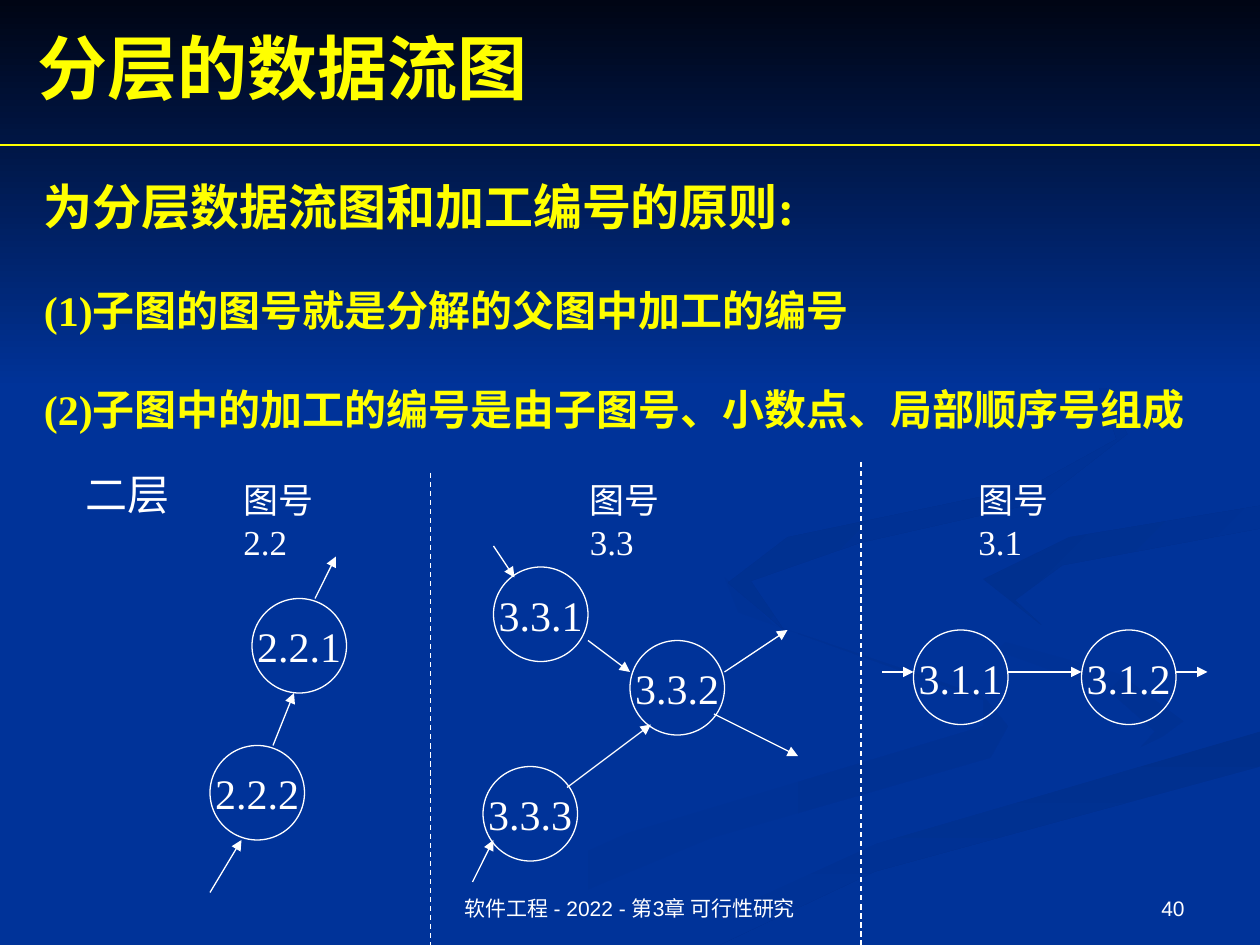
from lxml import etree
from pptx import Presentation
from pptx.dml.color import RGBColor
from pptx.enum.dml import MSO_LINE
from pptx.enum.shapes import MSO_CONNECTOR, MSO_SHAPE
from pptx.enum.text import MSO_ANCHOR, PP_ALIGN
from pptx.oxml.ns import qn
from pptx.util import Pt

LEFT, MID, RIGHT = PP_ALIGN.LEFT, PP_ALIGN.CENTER, PP_ALIGN.RIGHT
TOP, CENTER, BOTTOM = MSO_ANCHOR.TOP, MSO_ANCHOR.MIDDLE, MSO_ANCHOR.BOTTOM
OVAL, RECT = MSO_SHAPE.OVAL, MSO_SHAPE.RECTANGLE
STRAIGHT, DASH = MSO_CONNECTOR.STRAIGHT, MSO_LINE.DASH

WIDE, HIGH = 720, 540
WHITE, YELLOW, BLUE, NIGHT, DEEP = "FFFFFF", "FFFF00", "003399", "000514", "002F8C"
SERIF, SANS = "Times New Roman", "Arial"
NODE = 54

# Each ribbon: outline in points, first colour, last colour, gradient angle
RIBBONS = [
    ([(562, 398), (442, 357), (414, 330), (422, 350), (562, 400), (562, 415),
      (359, 476), (216, HIGH), (260, HIGH), (406, 479), (566, 433), (576, 415)],
     BLUE, "003193", 0),
    ([(679, 410), (639, 385), (546, 359), (521, 334), (537, 360), (634, 395),
      (660, 418), (644, 436)], BLUE, "003193", 315),
    ([(362, HIGH), (411, HIGH), (500, 498), (WIDE, 438), (WIDE, 418), (501, 482)],
     DEEP, BLUE, 270),
    ([(522, 334), (536, 353), (640, 385), (679, 414), (625, 440), (477, 481),
      (343, HIGH), (374, HIGH), (501, 482), (WIDE, 418), (WIDE, 387), (588, 354),
      (562, 331), (612, 307), (WIDE, 289), (WIDE, 279), (567, 304)],
     BLUE, BLUE, 0),
    ([(562, 331), (595, 357), (580, 343), (607, 323), (WIDE, 302), (WIDE, 289),
      (611, 307)], DEEP, BLUE, 315),
    ([(492, 310), (594, 287), (644, 248), (629, 215), (549, 168), (626, 215),
      (638, 251), (589, 278), (450, 307), (416, 333), (448, 360), (429, 332)],
     DEEP, BLUE, 315),
]

# Each panel: left edge, label, label offset, nodes (x, y), arrows (from, to)
PANELS = [
    (0, "图号2.2", 132,
     {"2.2.1": (144, 78), "2.2.2": (120, 162)},
     [(120, 246, 138, 216), (156, 162, 168, 132), (180, 78, 192, 54)]),
    (246, "图号3.3", 84,
     {"3.3.1": (36, 60), "3.3.3": (30, 174), "3.3.2": (114, 102)},
     [(168, 120, 204, 96), (162, 144, 210, 168), (90, 102, 114, 120),
      (78, 186, 126, 150), (36, 48, 48, 66), (24, 240, 36, 216)]),
    (492, "图号3.1", 60,
     {"3.1.1": (30, 96), "3.1.2": (126, 96)},
     [(a, 120, b, 120) for a, b in ((12, 30), (84, 126), (180, 198))]),
]


def rgb(code):
    return RGBColor.from_string(code)


def add_run(para, text, size, color, font=SERIF, bold=False):
    run = para.add_run()
    run.text = text
    run.font.size, run.font.name, run.font.bold = Pt(size), font, bold
    run.font.color.rgb = rgb(color)


def add_text(slide, box, lines, color, font=SERIF, bold=False,
             align=LEFT, anchor=TOP, gap=0):
    """Place (text, size) lines in a box, with a gap between paragraphs."""
    frame = slide.shapes.add_textbox(*map(Pt, box)).text_frame
    frame.word_wrap, frame.vertical_anchor = True, anchor
    for i, (text, size) in enumerate(lines):
        para = frame.add_paragraph() if i else frame.paragraphs[0]
        para.alignment = align
        if i:
            para.space_before = Pt(gap)
        add_run(para, text, size, color, font, bold)


def add_line(slide, ends, color=WHITE, head=False, dash=False):
    link = slide.shapes.add_connector(STRAIGHT, *map(Pt, ends))
    link.line.color.rgb, link.line.width = rgb(color), Pt(0.75)
    if dash:
        link.line.dash_style = DASH
    props = link._element.spPr
    if head:
        etree.SubElement(props.find(qn("a:ln")), qn("a:tailEnd"), type="triangle")
    etree.SubElement(props, qn("a:effectLst"))


def shade(shape, first, last, angle):
    shape.shadow.inherit = False
    shape.line.fill.background()
    if first == last:
        shape.fill.solid()
        shape.fill.fore_color.rgb = rgb(first)
        return
    shape.fill.gradient()
    shape.fill.gradient_angle = angle
    for stop, color, place in zip(shape.fill.gradient_stops, (first, last), (0, 1)):
        stop.color.rgb, stop.position = rgb(color), place


def add_back(slide):
    fill = slide.background.fill
    fill.solid()
    fill.fore_color.rgb = rgb(BLUE)
    for points, first, last, angle in RIBBONS:
        start, *rest = [(Pt(x), Pt(y)) for x, y in points]
        form = slide.shapes.build_freeform(*start)
        form.add_line_segments(rest, close=True)
        shade(form.convert_to_shape(), first, last, angle)
    sky = slide.shapes.add_shape(RECT, 0, 0, Pt(WIDE), Pt(222))
    shade(sky, NIGHT, BLUE, 270)


def add_node(slide, name, x, y):
    node = slide.shapes.add_shape(OVAL, Pt(x), Pt(y), Pt(NODE), Pt(NODE))
    node.shadow.inherit = False
    node.fill.background()
    node.line.color.rgb, node.line.width = rgb(WHITE), Pt(0.75)
    frame = node.text_frame
    frame.word_wrap, frame.vertical_anchor = False, CENTER
    frame.paragraphs[0].alignment = MID
    add_run(frame.paragraphs[0], name, 24, WHITE)


def add_panel(slide, x, y, label, shift, nodes, arrows):
    add_text(slide, (x + shift, y + 6, 76, 56), [(label, 20)], WHITE)
    for name, (dx, dy) in nodes.items():
        add_node(slide, name, x + dx, y + dy)
    for x1, y1, x2, y2 in arrows:
        add_line(slide, (x + x1, y + y1, x + x2, y + y2), head=True)


def add_flow(slide, top):
    add_text(slide, (42, top, 70, 36), [("二层", 24)], WHITE)
    for x, *parts in PANELS:
        add_panel(slide, x, top, *parts)
    for x, y in ((246, top + 6), (492, top)):
        add_line(slide, (x, y, x, HIGH), dash=True)


def add_head(slide):
    add_text(slide, (14.4, 10, 648, 55.5), [("分层的数据流图", 40)], YELLOW,
             bold=True, anchor=CENTER)
    add_line(slide, (0, 82.8, WIDE, 82.8), YELLOW)


def add_rules(slide):
    lines = [("为分层数据流图和加工编号的原则:", 28),
             ("(1)子图的图号就是分解的父图中加工的编号", 24),
             ("(2)子图中的加工的编号是由子图号、小数点、局部顺序号组成", 24)]
    add_text(slide, (18, 97.2, 700, 157.5), lines, YELLOW, bold=True, gap=28)


def add_foot(slide, y):
    for x, width, text, align in (
            (246, 228, "软件工程 - 2022 - 第3章 可行性研究", MID),
            (516, 168, "40", RIGHT)):
        add_text(slide, (x, y, width, 37.5), [(text, 12)], WHITE, SANS,
                 align=align, anchor=BOTTOM)


def main():
    deck = Presentation()
    deck.slide_width, deck.slide_height = Pt(WIDE), Pt(HIGH)
    slide = deck.slides.add_slide(deck.slide_layouts[6])
    add_back(slide)
    add_rules(slide)
    add_flow(slide, 264)
    add_head(slide)
    add_foot(slide, 492)
    deck.save("out.pptx")


if __name__ == "__main__":
    main()
